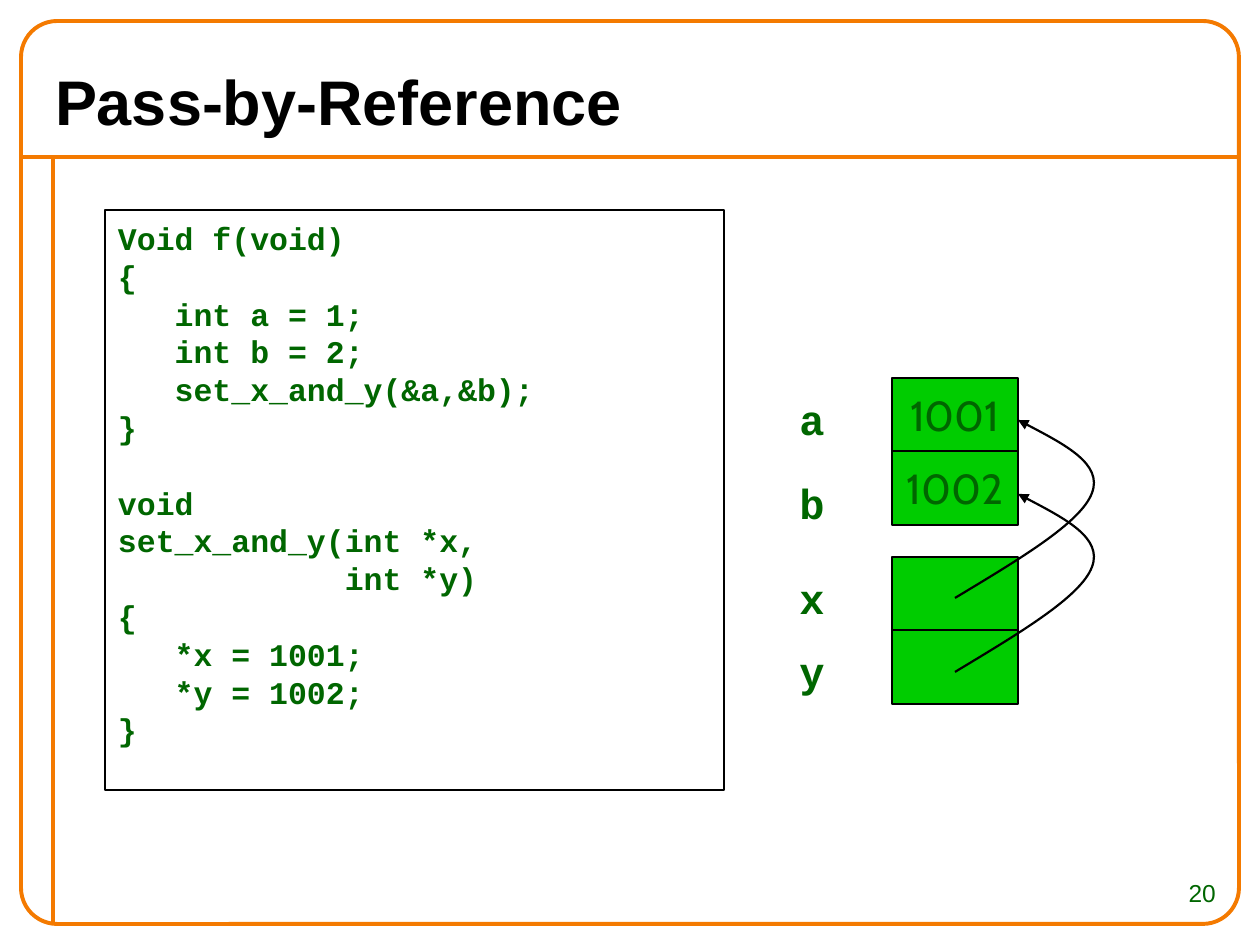
from pptx import Presentation
from pptx.dml.color import RGBColor
from pptx.enum.shapes import MSO_CONNECTOR, MSO_SHAPE
from pptx.enum.text import MSO_ANCHOR, MSO_AUTO_SIZE, PP_ALIGN
from pptx.oxml.ns import qn
from pptx.util import Emu, Pt
from lxml import etree

PX = 914400 / 126
STRAIGHT = MSO_CONNECTOR.STRAIGHT
RECT, ROUNDED = MSO_SHAPE.RECTANGLE, MSO_SHAPE.ROUNDED_RECTANGLE
TOP, MIDDLE = MSO_ANCHOR.TOP, MSO_ANCHOR.MIDDLE
LEFT, CENTER, RIGHT = PP_ALIGN.LEFT, PP_ALIGN.CENTER, PP_ALIGN.RIGHT
NO_FIT = MSO_AUTO_SIZE.NONE

ORANGE, GREEN, INK, BLACK = "F47A00", "00CC00", "006600", "000000"
SANS, CODE, ROUND = "Arial", "Courier New", "Cabin"
CODE_LINE = 21.6  # points from one code line to the next
CODE_CHAR = 18.9  # px width of one code character

# (indent in characters, text)
CALLER = [(0, "Void f(void)"), (0, "{"), (3, "int a = 1;"), (3, "int b = 2;"),
          (3, "set_x_and_y(&a,&b);"), (0, "}")]
CALLEE = [(0, "void"), (0, "set_x_and_y(int *x,"), (12, "int *y)"), (0, "{"),
          (3, "*x = 1001;"), (3, "*y = 1002;"), (0, "}")]

# (name, label top, cell top, value)
MEMORY = [("a", 388, 378, "1001"), ("b", 472, 451, "1002"),
          ("x", 567, 557, None), ("y", 640, 630, None)]
CELL_LEFT, CELL_WIDTH, CELL_HEIGHT = 892, 126, 74


def px(value):
    return Emu(round(value * PX))


def color(hex_text):
    return RGBColor.from_string(hex_text)


def write(para, text, font=SANS, size=24, ink=INK, bold=False, align=LEFT,
          before=0, spacing=None, indent=0):
    """Put text in a paragraph; before and spacing are points, indent is px."""
    para.alignment = align
    para.space_before = Pt(before)
    if spacing:
        para.line_spacing = Pt(spacing)
    if indent:
        properties = para._p.get_or_add_pPr()
        properties.set("marL", str(px(indent)))
        properties.set("indent", "0")
    span = para.add_run()
    span.text = text
    span.font.name = font
    span.font.size = Pt(size)
    span.font.bold = bold
    span.font.color.rgb = color(ink)


class SlideBuilder:
    """Holds the deck, its current page and the drawing style."""

    def __init__(self, width, height):
        self.deck = Presentation()
        self.deck.slide_width, self.deck.slide_height = px(width), px(height)
        self.page = self.deck.slides.add_slide(self.deck.slide_layouts[5])

    def frame(self, box, anchor=TOP, wrap=True, top_inset=6):
        frame = box.text_frame
        frame.word_wrap = wrap
        frame.auto_size = NO_FIT
        frame.vertical_anchor = anchor
        frame.margin_left = frame.margin_right = px(13)
        frame.margin_top, frame.margin_bottom = px(top_inset), px(6)
        return frame

    def title(self, text, left, top, width, height):
        box = self.page.shapes.title
        box.left, box.top = px(left), px(top)
        box.width, box.height = px(width), px(height)
        para = self.frame(box, anchor=MIDDLE).paragraphs[0]
        write(para, text, size=36, ink=BLACK, bold=True)

    def text(self, text, left, top, width, height, wrap=True, **style):
        box = self.page.shapes.add_textbox(px(left), px(top), px(width), px(height))
        write(self.frame(box, wrap=wrap).paragraphs[0], text, **style)

    def shape(self, kind, left, top, width, height, fill=None, line=BLACK, weight=0.75):
        box = self.page.shapes.add_shape(kind, px(left), px(top), px(width), px(height))
        box.shadow.inherit = False
        if fill:
            box.fill.solid()
            box.fill.fore_color.rgb = color(fill)
        else:
            box.fill.background()
        box.line.color.rgb = color(line)
        box.line.width = Pt(weight)
        return box

    def rule(self, x1, y1, x2, y2):
        line = self.page.shapes.add_connector(STRAIGHT, px(x1), px(y1), px(x2), px(y2))
        line.line.color.rgb = color(ORANGE)
        line.line.width = Pt(2.25)
        etree.SubElement(line._element.spPr, qn("a:effectLst"))

    def curved_arrow(self, points):
        """Draw cubic curves: a start point, then three points for each curve."""
        builder = self.page.shapes.build_freeform(*points[0], scale=PX)
        builder.add_line_segments(points[1:], close=False)
        curve = builder.convert_to_shape()
        segments = curve._element.xpath(".//a:lnTo")
        outline = segments[0].getparent()
        for start in range(0, len(segments), 3):
            bezier = etree.SubElement(outline, qn("a:cubicBezTo"))
            for segment in segments[start:start + 3]:
                bezier.append(segment[0])
                outline.remove(segment)
        curve.shadow.inherit = False
        curve.fill.background()
        curve.line.color.rgb = color(BLACK)
        curve.line.width = Pt(1.25)
        etree.SubElement(curve.line._get_or_add_ln(), qn("a:tailEnd"), type="triangle")

    def code(self, blocks, left, top, width, height):
        box = self.shape(RECT, left, top, width, height)
        frame = self.frame(box, top_inset=9)
        para = frame.paragraphs[0]
        for number, block in enumerate(blocks):
            for row, (indent, text) in enumerate(block):
                if number or row:
                    para = frame.add_paragraph()
                gap = CODE_LINE if number and row == 0 else 0
                write(para, text, font=CODE, size=18, bold=True, before=gap,
                      spacing=CODE_LINE, indent=indent * CODE_CHAR)

    def cell(self, name, label_top, cell_top, value):
        self.text(name, 787, label_top, 50, 63, wrap=False, font=CODE, bold=True,
                  align=CENTER, before=4.8)
        box = self.shape(RECT, CELL_LEFT, cell_top, CELL_WIDTH, CELL_HEIGHT, fill=GREEN)
        if value:
            para = self.frame(box, anchor=MIDDLE, wrap=False).paragraphs[0]
            write(para, value, font=ROUND, align=CENTER, before=4.8)


def main():
    slide = SlideBuilder(1260, 945)
    slide.rule(21, 157, 1239, 157)
    slide.rule(53, 157, 53, 924)
    border = slide.shape(ROUNDED, 21, 21, 1218, 903, line=ORANGE, weight=2.25)
    border.adjustments[0] = 0.04
    slide.title("Pass-by-Reference", 42, 53, 1176, 94)
    slide.text("20", 1103, 872, 126, 53, size=14, align=RIGHT)

    slide.code([CALLER, CALLEE], 105, 210, 619, 580)
    for entry in MEMORY:
        slide.cell(*entry)
    for tip in (420, 494):
        slide.curved_arrow([
            (955, tip + 178), (1018, tip + 140), (1081, tip + 103), (1092, tip + 73),
            (1103, tip + 44), (1060, tip + 22), (1018, tip)])
    slide.deck.save("out.pptx")


if __name__ == "__main__":
    main()
